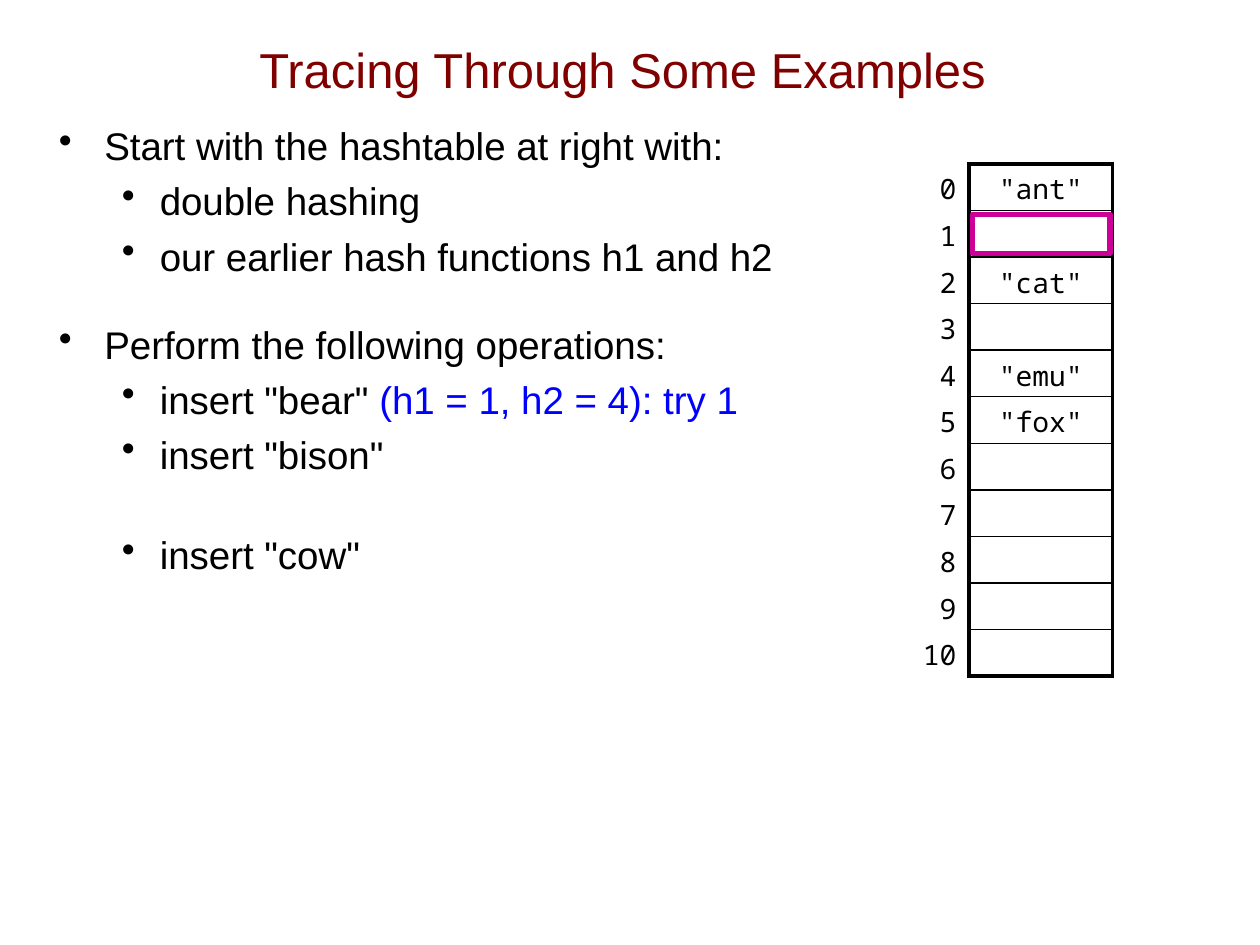
from lxml import etree
from pptx import Presentation
from pptx import util as u
from pptx.dml.color import RGBColor
from pptx.enum import shapes, text
from pptx.oxml.ns import qn


def color(hex_string):
    return RGBColor.from_string(hex_string)


def add_border(cell, side, width):
    """Draw one side of a cell in black; a width of 0 leaves it open."""
    line = etree.SubElement(cell._tc.get_or_add_tcPr(), qn(f"a:ln{side}"), w=str(u.Pt(width)))
    if width:
        fill = etree.SubElement(line, qn("a:solidFill"))
        etree.SubElement(fill, qn("a:srgbClr"), val="000000")
    else:
        etree.SubElement(line, qn("a:noFill"))


prs = Presentation()
prs.slide_width, prs.slide_height = u.Inches(10), u.Inches(7.5)
slide = prs.slides.add_slide(prs.slide_layouts[6])

# Title
title = slide.shapes.add_textbox(u.Inches(0.64), u.Inches(0.08), u.Inches(8.6), u.Inches(0.93))
title.text_frame.word_wrap = True
title.text_frame.vertical_anchor = text.MSO_ANCHOR.MIDDLE
heading = title.text_frame.paragraphs[0]
heading.text = "Tracing Through Some Examples"
heading.alignment = text.PP_ALIGN.CENTER
heading.font.name, heading.font.size = "Arial", u.Pt(28)
heading.font.color.rgb = color("800000")

# Bulleted steps: level, space before, wording, blue remark
steps = [
    (0, 0, "Start with the hashtable at right with:", ""),
    (1, 5.2, "double hashing", ""),
    (1, 5.2, "our earlier hash functions h1 and h2", ""),
    (0, 24, "Perform the following operations:", ""),
    (1, 5, 'insert "bear" ', "(h1 = 1, h2 = 4): try 1"),
    (1, 5, 'insert "bison"', ""),
    (1, 31, 'insert "cow"', ""),
]
indents = [(0.36, -0.36), (0.8, -0.3)]
body = slide.shapes.add_textbox(u.Inches(0.37), u.Inches(0.92), u.Inches(9.63), u.Inches(6.14))
body.text_frame.word_wrap = True
for i, (level, space, wording, remark) in enumerate(steps):
    step = body.text_frame.paragraphs[0] if i == 0 else body.text_frame.add_paragraph()
    step.level = level
    step.space_before = u.Pt(space)
    margin, hanging = indents[level]
    props = step._p.get_or_add_pPr()
    props.set("marL", str(u.Inches(margin)))
    props.set("indent", str(u.Inches(hanging)))
    bullet_color = etree.SubElement(props, qn("a:buClr"))
    etree.SubElement(bullet_color, qn("a:srgbClr"), val="000000")
    etree.SubElement(props, qn("a:buChar"), char="•")
    step.font.name, step.font.size = "Arial", u.Pt(22)
    step.font.color.rgb = color("000000")
    step.add_run().text = wording
    if remark:
        note = step.add_run()
        note.text = remark
        note.font.color.rgb = color("0000FF")

# Hashtable: index column and boxed value column
entries = {0: '"ant"', 2: '"cat"', 4: '"emu"', 5: '"fox"'}
size = 11
hashtable = slide.shapes.add_table(
    size, 2, u.Inches(6.54), u.Inches(1.3), u.Inches(2.29), u.Inches(0.37 * size)).table
hashtable.first_row = hashtable.horz_banding = False
hashtable.columns[0].width, hashtable.columns[1].width = u.Inches(1.15), u.Inches(1.14)
for row in range(size):
    hashtable.rows[row].height = u.Inches(0.37)
    top = 2.25 if row == 0 else 1
    bottom = 2.25 if row == size - 1 else 1
    columns = [
        (str(row), text.PP_ALIGN.RIGHT, (0, 2.25, 0, 0)),
        (entries.get(row, ""), text.PP_ALIGN.CENTER, (2.25, 2.25, top, bottom)),
    ]
    for col, (wording, alignment, widths) in enumerate(columns):
        cell = hashtable.cell(row, col)
        for side, width in zip("LRTB", widths):
            add_border(cell, side, width)
        cell.fill.background()
        entry = cell.text_frame.paragraphs[0]
        entry.text = wording
        entry.alignment = alignment
        entry.font.name, entry.font.size = "Noto Sans Mono", u.Pt(16)
        entry.font.color.rgb = color("000000")

# Highlight on the slot being tried
tried_slot = slide.shapes.add_shape(
    shapes.MSO_SHAPE.RECTANGLE, u.Inches(7.72), u.Inches(1.7), u.Inches(1.09), u.Inches(0.31))
tried_slot.shadow.inherit = False
tried_slot.fill.background()
tried_slot.line.color.rgb = color("CC0099")
tried_slot.line.width = u.Pt(3)

prs.save("out.pptx")
